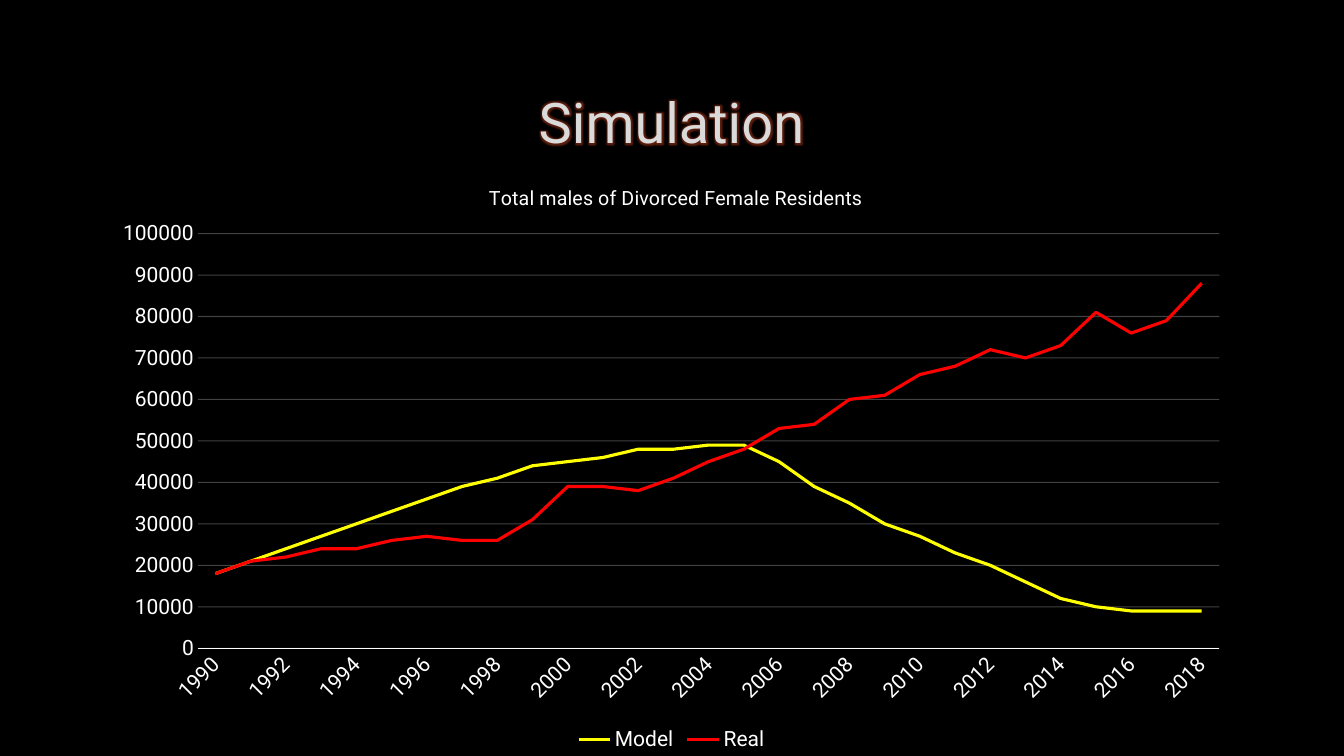
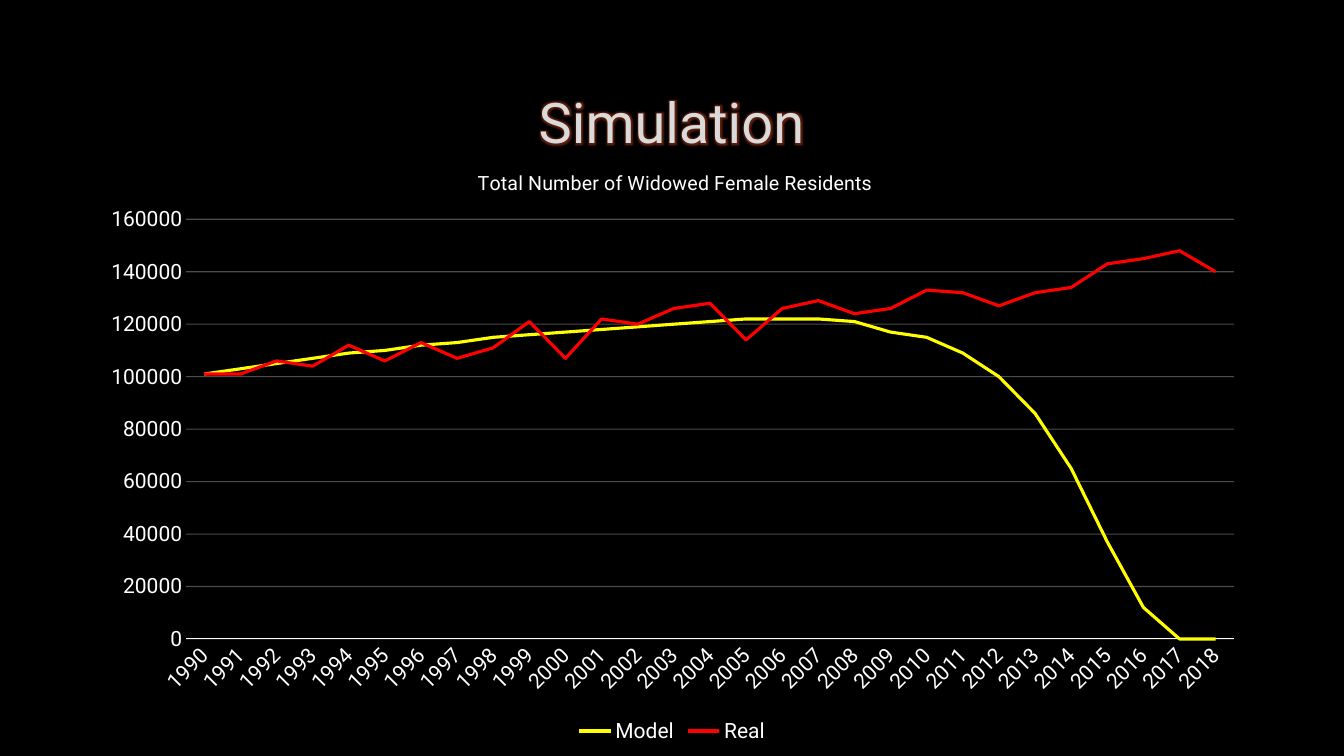
"""Build two slides comparing simulated and real counts as line charts."""
from lxml import etree
from pptx import Presentation
from pptx.chart.data import CategoryChartData
from pptx.dml.color import RGBColor
from pptx.enum.chart import XL_CHART_TYPE, XL_LEGEND_POSITION, XL_MARKER_STYLE, XL_TICK_MARK
from pptx.enum.text import MSO_ANCHOR, PP_ALIGN
from pptx.oxml import parse_xml
from pptx.oxml.ns import nsdecls, qn
from pptx.util import Inches, Pt

LINE = XL_CHART_TYPE.LINE
BOTTOM = XL_LEGEND_POSITION.BOTTOM
BARE = XL_MARKER_STYLE.NONE
NO_TICK = XL_TICK_MARK.NONE
MIDDLE = MSO_ANCHOR.MIDDLE
CENTER = PP_ALIGN.CENTER

BLACK = RGBColor(0, 0, 0)
WHITE = RGBColor(255, 255, 255)
SILVER = RGBColor(0xDA, 0xDA, 0xDA)
YELLOW = RGBColor(255, 255, 0)
RED = RGBColor(255, 0, 0)
EDGE = RGBColor(0x40, 0x40, 0x40)
GLOW = RGBColor(0xE8, 0x4C, 0x22)
FONT = "Roboto"
HEAD = "Simulation"
HEAD_BOX = (1, 0.67, 11.32, 1.06)
PLOT = (0.085, 0.126, 0.895, 0.694)
YEARS = [str(year) for year in range(1990, 2019)]
COLORS = {"Model": YELLOW, "Real": RED}

SLIDES = [
    {
        "title": "Total males of Divorced Female Residents",
        "box": (1, 1.57, 11.32, 5.93),
        "spot": (0.337, 0.037),
        "top": 100, "step": 10, "grid": 25,
        "Model": [18, 21, 24, 27, 30, 33, 36, 39, 41, 44, 45, 46, 48, 48, 49,
                  49, 45, 39, 35, 30, 27, 23, 20, 16, 12, 10, 9, 9, 9],
        "Real": [18, 21, 22, 24, 24, 26, 27, 26, 26, 31, 39, 39, 38, 41, 45,
                 48, 53, 54, 60, 61, 66, 68, 72, 70, 73, 81, 76, 79, 88],
    },
    {
        "title": "Total Number of Widowed Female Residents",
        "box": (0.86, 1.42, 11.61, 6),
        "spot": (0.331, 0.037),
        "top": 160, "step": 20, "grid": 30,
        "Model": [101, 103, 105, 107, 109, 110, 112, 113, 115, 116, 117, 118,
                  119, 120, 121, 122, 122, 122, 121, 117, 115, 109, 100, 86,
                  65, 37, 12, 0, 0],
        "Real": [101, 101, 106, 104, 112, 106, 113, 107, 111, 121, 107, 122,
                 120, 126, 128, 114, 126, 129, 124, 126, 133, 132, 127, 132,
                 134, 143, 145, 148, 140],
    },
]


def set_font(font, size, color=WHITE):
    font.name, font.size, font.bold = FONT, Pt(size), False
    font.color.rgb = color


def set_line(line, color, width):
    line.color.rgb, line.width = color, Pt(width)


def fade(node, share):
    for color in node.iter(qn("a:srgbClr")):
        etree.SubElement(color, qn("a:alpha")).set("val", str(share * 1000))


def place(node, spot, inner=False):
    """Fix a chart part at shares of the chart's size."""
    for old in node.findall(qn("c:layout")):
        node.remove(old)
    parts = '<c:layoutTarget val="inner"/>' if inner else ""
    parts += '<c:xMode val="edge"/><c:yMode val="edge"/>'
    parts += "".join(f'<c:{key} val="{val}"/>' for key, val in zip("xywh", spot))
    layout = parse_xml(f'<c:layout {nsdecls("c")}><c:manualLayout>{parts}'
                       '</c:manualLayout></c:layout>')
    text = node.find(qn("c:tx"))
    if text is None:
        node.insert(0, layout)
    else:
        text.addnext(layout)


def add_head(slide):
    box = slide.shapes.add_textbox(*map(Inches, HEAD_BOX))
    frame = box.text_frame
    frame.word_wrap, frame.vertical_anchor = True, MIDDLE
    para = frame.paragraphs[0]
    para.alignment = CENTER
    run = para.add_run()
    run.text = HEAD
    set_font(run.font, 40, SILVER)
    props = run.font.fill._xPr
    edge = parse_xml(f'<a:ln {nsdecls("a")} w="9525"><a:solidFill>'
                     f'<a:srgbClr val="{EDGE}"/></a:solidFill></a:ln>')
    fade(edge, 10)
    props.insert(0, edge)
    glow = parse_xml(f'<a:effectLst {nsdecls("a")}><a:glow rad="63500">'
                     f'<a:srgbClr val="{GLOW}"/></a:glow></a:effectLst>')
    fade(glow, 40)
    props.find(qn("a:solidFill")).addnext(glow)


def add_lines(slide, item):
    data = CategoryChartData(number_format="General")
    data.categories = YEARS
    for name in COLORS:
        data.add_series(name, [val * 1000 for val in item[name]])
    chart = slide.shapes.add_chart(LINE, *map(Inches, item["box"]), data).chart
    set_font(chart.font, 10)

    chart.has_title = True
    run = chart.chart_title.text_frame.paragraphs[0].add_run()
    run.text = item["title"]
    set_font(run.font, 14)
    chart.chart_title.include_in_layout = False
    place(chart.chart_title._element, item["spot"])
    place(chart._chartSpace.chart.plotArea, PLOT, True)

    chart.has_legend = True
    chart.legend.position = BOTTOM
    chart.legend.include_in_layout = False
    set_font(chart.legend.font, 15)

    years, scale = chart.category_axis, chart.value_axis
    for axis in (years, scale):
        axis.major_tick_mark = axis.minor_tick_mark = NO_TICK
        set_font(axis.tick_labels.font, 15)
    set_line(years.format.line, WHITE, 0.75)
    years._element.find(qn("c:txPr")).find(qn("a:bodyPr")).set("rot", "-2700000")
    scale.format.line.fill.background()
    scale.minimum_scale, scale.maximum_scale = 0, item["top"] * 1000
    scale.major_unit = item["step"] * 1000
    grid = scale.major_gridlines
    set_line(grid.format.line, WHITE, 0.75)
    fade(scale._element.find(qn("c:majorGridlines")), item["grid"])

    for row in chart.plots[0].series:
        row.smooth = False
        row.marker.style = BARE
        set_line(row.format.line, COLORS[row.name], 2.25)


def main():
    deck = Presentation()
    deck.slide_width, deck.slide_height = Inches(13.33), Inches(7.5)
    for item in SLIDES:
        slide = deck.slides.add_slide(deck.slide_layouts[6])
        slide.background.fill.solid()
        slide.background.fill.fore_color.rgb = BLACK
        add_head(slide)
        add_lines(slide, item)
    deck.save("out.pptx")


if __name__ == "__main__":
    main()
